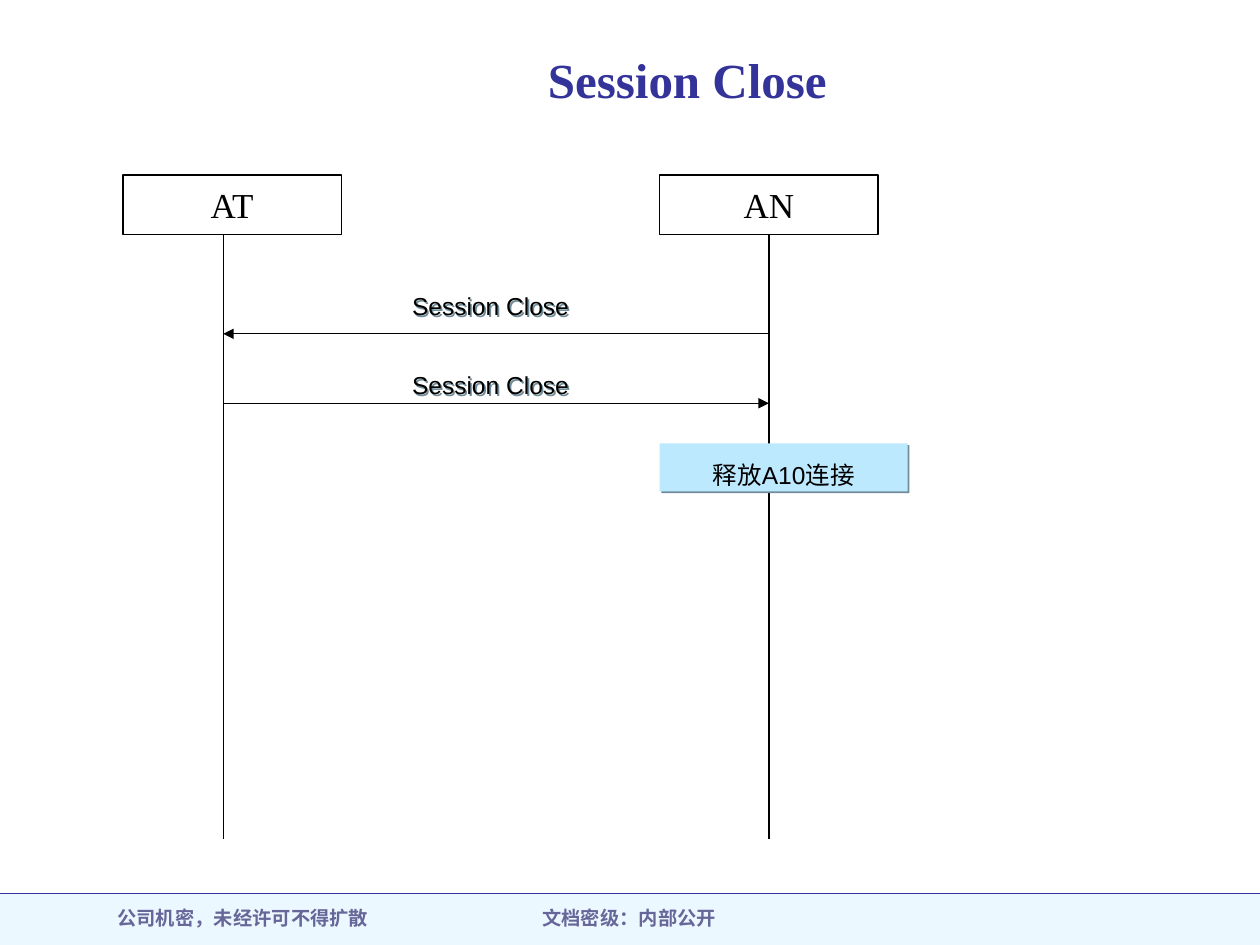
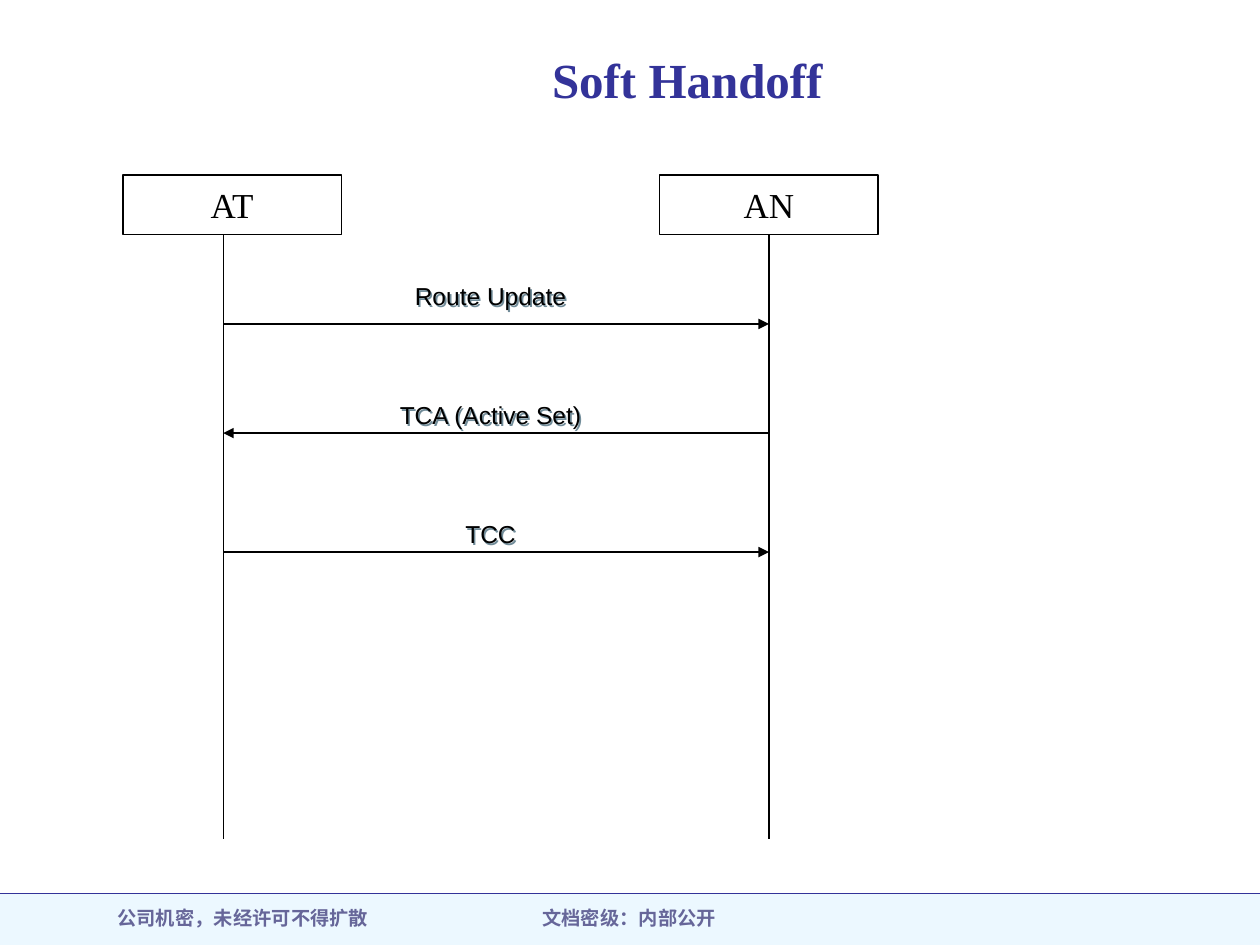
from dataclasses import dataclass

from lxml.etree import SubElement
from pptx import Presentation
from pptx.dml.color import RGBColor
from pptx.enum.shapes import MSO_CONNECTOR, MSO_SHAPE
from pptx.enum.text import MSO_ANCHOR, PP_ALIGN
from pptx.oxml.ns import qn
from pptx.util import Cm, Pt


@dataclass(frozen=True)
class Theme:
    navy: str = "333399"
    footer_ink: str = "666699"
    band: str = "A7E2FF"
    band_opacity: int = 21
    note: str = "BDE9FF"
    shade: str = "718C99"
    title_shade: str = "C0C0C0"
    ink: str = "000000"
    serif: str = "Times New Roman"
    sans: str = "Arial"
    title_size: int = 28
    actor_size: int = 20
    message_size: int = 14
    footer_size: int = 11
    rule: float = 0.75


@dataclass(frozen=True)
class Box:
    """A region in centimetres."""
    left: float
    top: float
    width: float
    height: float

    def inner(self, dx, dy, width, height):
        return Box(self.left + dx, self.top + dy, width, height)

    def lengths(self):
        return [Cm(v) for v in (self.left, self.top, self.width, self.height)]


@dataclass(frozen=True)
class Message:
    text: str
    drop: float  # distance of the arrow below the diagram's top
    to_an: bool


THEME = Theme()
PAGE = Box(0, 0, 25.4, 19.05)
TITLE = Box(4.01, 0.64, 19.69, 1.9)
FOOTER = Box(0, 18.01, 25.4, 1.04)
DIAGRAM = Box(2.48, 3.53, 15.22, 13.39)

TITLE_FONT = {"size": Pt(THEME.title_size), "name": THEME.serif, "bold": True}
ACTOR_FONT = {"size": Pt(THEME.actor_size), "name": THEME.serif}
MESSAGE_FONT = {"size": Pt(THEME.message_size), "name": THEME.sans}
FOOTER_FONT = {"size": Pt(THEME.footer_size), "name": THEME.serif, "bold": True}

CENTRED = {"vertical_anchor": MSO_ANCHOR.MIDDLE, "word_wrap": True}
UNWRAPPED = {"vertical_anchor": MSO_ANCHOR.MIDDLE, "word_wrap": False}
TOP = {"vertical_anchor": MSO_ANCHOR.TOP, "word_wrap": True}
CAPTION = TOP | {"margin_left": 0, "margin_right": 0,
                 "margin_top": Cm(0.1), "margin_bottom": Cm(0.13)}


def rgb(colour):
    return RGBColor.from_string(colour)


def apply(target, values):
    for name, value in values.items():
        setattr(target, name, value)


def write(shape, text, font, colour, frame, line_spacing=1.0):
    apply(shape.text_frame, frame)
    paragraph = shape.text_frame.paragraphs[0]
    apply(paragraph, {"alignment": PP_ALIGN.CENTER, "line_spacing": line_spacing})
    run = paragraph.add_run()
    run.text = text
    apply(run.font, font)
    run.font.color.rgb = rgb(colour)
    return run


def add_text(slide, box, *content):
    shape = slide.shapes.add_textbox(*box.lengths())
    return shape, write(shape, *content)


def add_rectangle(slide, box, fill=None, line=None):
    shape = slide.shapes.add_shape(MSO_SHAPE.RECTANGLE, *box.lengths())
    shape.shadow.inherit = False
    if fill:
        shape.fill.solid()
        shape.fill.fore_color.rgb = rgb(fill)
    else:
        shape.fill.background()
    if line:
        shape.line.color.rgb = rgb(line)
        shape.line.width = Pt(THEME.rule)
    else:
        shape.line.fill.background()
    return shape


def add_line(slide, start, end, colour=THEME.ink, arrow=False):
    line = slide.shapes.add_connector(
        MSO_CONNECTOR.STRAIGHT, *[Cm(v) for v in (*start, *end)])
    line.line.color.rgb = rgb(colour)
    line.line.width = Pt(THEME.rule)
    properties = line._element.spPr
    if arrow:
        SubElement(properties.find(qn("a:ln")), qn("a:tailEnd"), type="triangle")
    SubElement(properties, qn("a:effectLst"))
    return line


def cast_shadow(effects, colour):
    shadow = SubElement(effects, qn("a:outerShdw"), dist=str(Pt(1.4)),
                        dir="2700000", algn="ctr", rotWithShape="0")
    SubElement(shadow, qn("a:srgbClr"), val=colour)


def shade_shape(shape):
    shape.shadow.inherit = False
    cast_shadow(shape._element.spPr.find(qn("a:effectLst")), THEME.shade)


def draw_title(slide, box, text):
    _, run = add_text(slide, box, text, TITLE_FONT, THEME.navy, CENTRED)
    properties = run.font._element
    effects = SubElement(properties, qn("a:effectLst"))
    properties.find(qn("a:solidFill")).addnext(effects)
    cast_shadow(effects, THEME.title_shade)


def draw_footer(slide, box):
    # Tinted band with a rule along its top
    band = add_rectangle(slide, box, THEME.band)
    tint = band._element.spPr.find(qn("a:solidFill"))[0]
    SubElement(tint, qn("a:alpha"), val=str(THEME.band_opacity * 1000))
    add_line(slide, (box.left, box.top), (box.left + box.width, box.top), THEME.navy)
    # Confidentiality notices
    for text, dx, width in (("公司机密，未经许可不得扩散", 1.5, 6.8),
                            ("文档密级：内部公开", 8.66, 8.05)):
        add_text(slide, box.inner(dx, 0.13, width, 0.91),
                 text, FOOTER_FONT, THEME.footer_ink, TOP)


def draw_sequence(slide, box, messages, note=None):
    an_left = 10.82
    lifelines = {"AT": box.left + 2.02, "AN": box.left + an_left + 2.2}
    actors = {}

    # Actors and their lifelines
    for name, dx in (("AT", 0), ("AN", an_left)):
        actors[name] = add_rectangle(slide, box.inner(dx, 0, 4.4, 1.2), line=THEME.ink)
        write(actors[name], name, ACTOR_FONT, THEME.ink, UNWRAPPED)
        x = lifelines[name]
        lifeline = add_line(slide, (x, box.top + 1.2), (x, box.top + box.height))
        if name == "AN":
            lifeline.begin_connect(actors[name], 2)

    # Messages: the first caption is wider and sits a little higher
    for index, message in enumerate(messages):
        width, lift = (9.2, 1.0) if index else (10.4, 1.2)
        caption, _ = add_text(
            slide, box.inner(7.41 - width / 2, message.drop - lift, width, 0.97),
            message.text, MESSAGE_FONT, THEME.ink, CAPTION, 1.4)
        shade_shape(caption)
        y = box.top + message.drop
        start, end = ("AT", "AN") if message.to_an else ("AN", "AT")
        add_line(slide, (lifelines[start], y), (lifelines[end], y), arrow=True)

    # Action note on the AN lifeline
    if note:
        action = add_rectangle(slide, box.inner(an_left, 5.41, 5, 0.97), THEME.note)
        shade_shape(action)
        write(action, note, MESSAGE_FONT, THEME.ink, CAPTION, 1.4)


def add_sequence_slide(deck, title, messages, note=None):
    slide = deck.slides.add_slide(deck.slide_layouts[6])
    draw_footer(slide, FOOTER)
    draw_title(slide, TITLE, title)
    draw_sequence(slide, DIAGRAM, messages, note)


def main():
    deck = Presentation()
    deck.slide_width, deck.slide_height = Cm(PAGE.width), Cm(PAGE.height)
    add_sequence_slide(deck, "Session Close", [
        Message("Session Close", 3.2, False),
        Message("Session Close", 4.6, True),
    ], note="释放A10连接")
    add_sequence_slide(deck, "Soft Handoff", [
        Message("Route Update", 3.0, True),
        Message("TCA (Active Set)", 5.2, False),
        Message("TCC", 7.6, True),
    ])
    deck.save("out.pptx")


if __name__ == "__main__":
    main()
